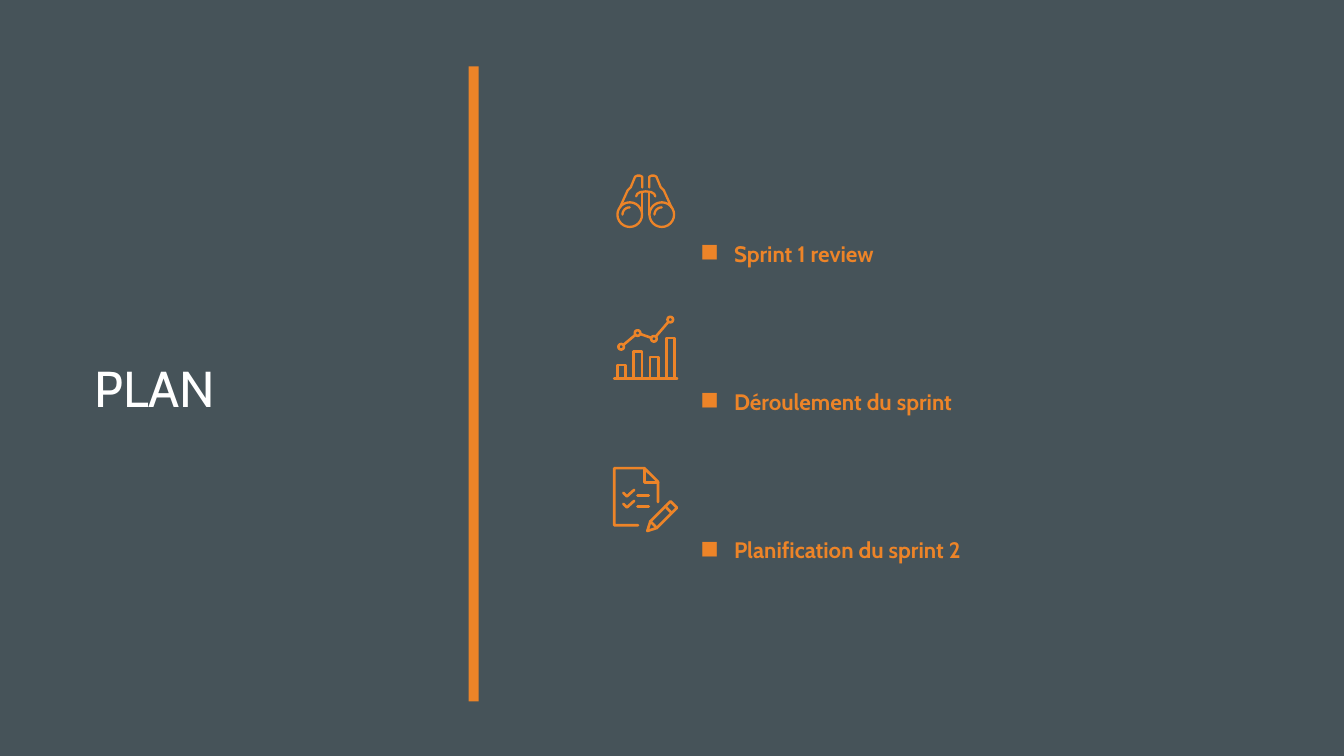
from dataclasses import dataclass
from math import cos, hypot, radians, sin

from lxml.etree import SubElement
from pptx import Presentation
from pptx.dml.color import RGBColor as RGB
from pptx.enum.shapes import MSO_CONNECTOR as LINK, MSO_SHAPE as SHAPE
from pptx.enum.text import MSO_ANCHOR as ANCHOR
from pptx.oxml.ns import qn
from pptx.shapes.group import GroupShape as Group
from pptx.slide import Slide
from pptx.text.text import TextFrame as Frame
from pptx.util import Pt

Spot = tuple[float, float]


@dataclass(frozen=True)
class Theme:
    back: str = "465359"
    accent: str = "ED8428"
    light: str = "FFFFFF"
    font: str = "Cabin"
    title: float = 36
    body: float = 16


@dataclass(frozen=True)
class Trace:
    spots: list[Spot]
    closed: bool = False


@dataclass(frozen=True)
class Ring:
    mid: Spot
    radius: float


@dataclass(frozen=True)
class Icon:
    top: float
    weight: float
    marks: list[Trace | Ring]


THEME = Theme()
ICON_LEFT = 437.8
TOPICS = ["Sprint 1 review", "Déroulement du sprint", "Planification du sprint 2"]


def shift(spots: list[Spot], dx: float, dy: float) -> list[Spot]:
    return [(x + dx, y + dy) for x, y in spots]


def flip(spots: list[Spot], axis: float) -> list[Spot]:
    return [(2 * axis - x, y) for x, y in spots]


def trim(start: Spot, end: Spot, gap: float) -> list[Spot]:
    """Shorten a line by the gap at both ends."""
    dx, dy = end[0] - start[0], end[1] - start[1]
    share = gap / hypot(dx, dy)
    return [(start[0] + dx * share, start[1] + dy * share),
            (end[0] - dx * share, end[1] - dy * share)]


def scope_icon() -> Icon:
    axis, lens_x, lens_y = 23.45, 12, 28.8
    barrel = [(5, 23.8), (10.6, 11.4), (12.8, 9.2), (15.8, 1.8),
              (17.3, 1), (19.4, 1), (20.9, 1.8), (20.9, 9.5)]
    post = [(20.9, 13), (20.9, 28.8)]
    strap = [(16.6, 15.8), (17.4, 14), (19.6, 12.7), (axis, 12.2)]
    glint = [(lens_x + 5.2 * cos(radians(a)), lens_y + 5.2 * sin(radians(a)))
             for a in range(180, 271, 15)]
    span = 2 * (axis - lens_x)
    return Icon(124.5, 1.65, [
        Ring((lens_x, lens_y), 8.8), Ring((lens_x + span, lens_y), 8.8),
        Trace(barrel), Trace(flip(barrel, axis)),
        Trace(post), Trace(flip(post, axis)),
        Trace(strap + flip(strap, axis)[-2::-1]),
        Trace(glint), Trace(shift(glint, span, 0))])


def chart_icon() -> Icon:
    pitch, base, wide, radius = 11.7, 45, 5.9, 2
    marks: list[Trace | Ring] = [Trace([(0.9, base), (45.9, base)])]
    for i, top in enumerate([35.3, 25.9, 29.5, 16.2]):
        left = 3.2 + pitch * i
        marks.append(Trace([(left, base), (left, top),
                            (left + wide, top), (left + wide, base)], True))
    dots = [(5.9 + pitch * i, y) for i, y in enumerate([22.3, 12.5, 16.6, 2.9])]
    marks += [Ring(dot, radius) for dot in dots]
    marks += [Trace(trim(a, b, radius)) for a, b in zip(dots, dots[1:])]
    return Icon(225.4, 1.85, marks)


def list_icon() -> Icon:
    row = 7.9
    tick = [(7.5, 18.6), (10, 21.2), (15.2, 16.5)]
    dash = [(17.6, 20.6), (25.6, 20.6)]
    return Icon(333.4, 1.9, [
        Trace([(18, 41.8), (1, 41.8), (1, 1), (22.4, 1), (32.2, 10.8), (32.2, 25.2)]),
        Trace([(22.6, 1), (22.6, 11), (32.2, 11)]),
        *[Trace(shift(item, 0, row * i)) for i in range(2) for item in (tick, dash)],
        Trace([(24.6, 45.9), (26.8, 39), (41.2, 24.7), (45.8, 29.3), (31.4, 43.8)], True),
        Trace([(37.4, 28.3), (41.9, 32.9)]),
        Trace([(26.8, 39), (31.4, 43.8)])])


def draw_mark(group: Group, mark: Trace | Ring, icon: Icon) -> None:
    shapes = group.shapes
    if isinstance(mark, Ring):
        (x, y), size = mark.mid, Pt(2 * mark.radius)
        shape = shapes.add_shape(SHAPE.OVAL, Pt(ICON_LEFT + x - mark.radius),
                                 Pt(icon.top + y - mark.radius), size, size)
    else:
        spots = [(Pt(x), Pt(y)) for x, y in shift(mark.spots, ICON_LEFT, icon.top)]
        if len(spots) == 2:
            shape = shapes.add_connector(LINK.STRAIGHT, *spots[0], *spots[1])
        else:
            pen = shapes.build_freeform(*spots[0])
            pen.add_line_segments(spots[1:], close=mark.closed)
            shape = pen.convert_to_shape()
    shape.line.color.rgb = RGB.from_string(THEME.accent)
    shape.line.width = Pt(icon.weight)
    props = shape.element.spPr
    props.find(qn("a:ln")).set("cap", "rnd")
    if isinstance(mark, Trace) and len(mark.spots) == 2:
        SubElement(props, qn("a:effectLst"))
    else:
        shape.fill.background()
        shape.shadow.inherit = False


def add_box(slide: Slide, left: float, top: float, wide: float, high: float) -> Frame:
    frame = slide.shapes.add_textbox(Pt(left), Pt(top), Pt(wide), Pt(high)).text_frame
    frame.word_wrap = True
    frame.vertical_anchor = ANCHOR.MIDDLE
    return frame


def add_title(slide: Slide) -> None:
    para = add_box(slide, 60.5, 208.8, 239, 135.4).paragraphs[0]
    para.text = "PLAN"
    para.font.name, para.font.size = THEME.font, Pt(THEME.title)
    para.font.color.rgb = RGB.from_string(THEME.light)


def add_topics(slide: Slide) -> None:
    frame = add_box(slide, 493.2, 43.2, 416.2, 410.4)
    for i, topic in enumerate(TOPICS):
        para = frame.add_paragraph() if i else frame.paragraphs[0]
        para.text = topic
        para.line_spacing = 5.0
        if i:
            para.space_before = Pt(10)
        props = para._p.get_or_add_pPr()
        props.set("marL", str(Pt(24)))
        props.set("indent", str(-Pt(24)))
        tint = SubElement(props, qn("a:buClr"))
        SubElement(tint, qn("a:srgbClr"), val=THEME.accent)
        SubElement(props, qn("a:buChar"), char="◼")
        para.font.name, para.font.size = THEME.font, Pt(THEME.body)
        para.font.bold = True
        para.font.color.rgb = RGB.from_string(THEME.accent)


def add_bar(slide: Slide) -> None:
    bar = slide.shapes.add_shape(SHAPE.RECTANGLE, Pt(334.8), Pt(47.5), Pt(7.2), Pt(453.6))
    bar.fill.solid()
    bar.fill.fore_color.rgb = RGB.from_string(THEME.accent)
    bar.line.fill.background()
    bar.shadow.inherit = False


def main() -> None:
    deck = Presentation()
    deck.slide_width, deck.slide_height = Pt(960), Pt(540)
    slide = deck.slides.add_slide(deck.slide_layouts[6])
    slide.background.fill.solid()
    slide.background.fill.fore_color.rgb = RGB.from_string(THEME.back)
    add_bar(slide)
    add_title(slide)
    add_topics(slide)
    for icon in (scope_icon(), chart_icon(), list_icon()):
        group = slide.shapes.add_group_shape()
        for mark in icon.marks:
            draw_mark(group, mark, icon)
    deck.save("out.pptx")


if __name__ == "__main__":
    main()
